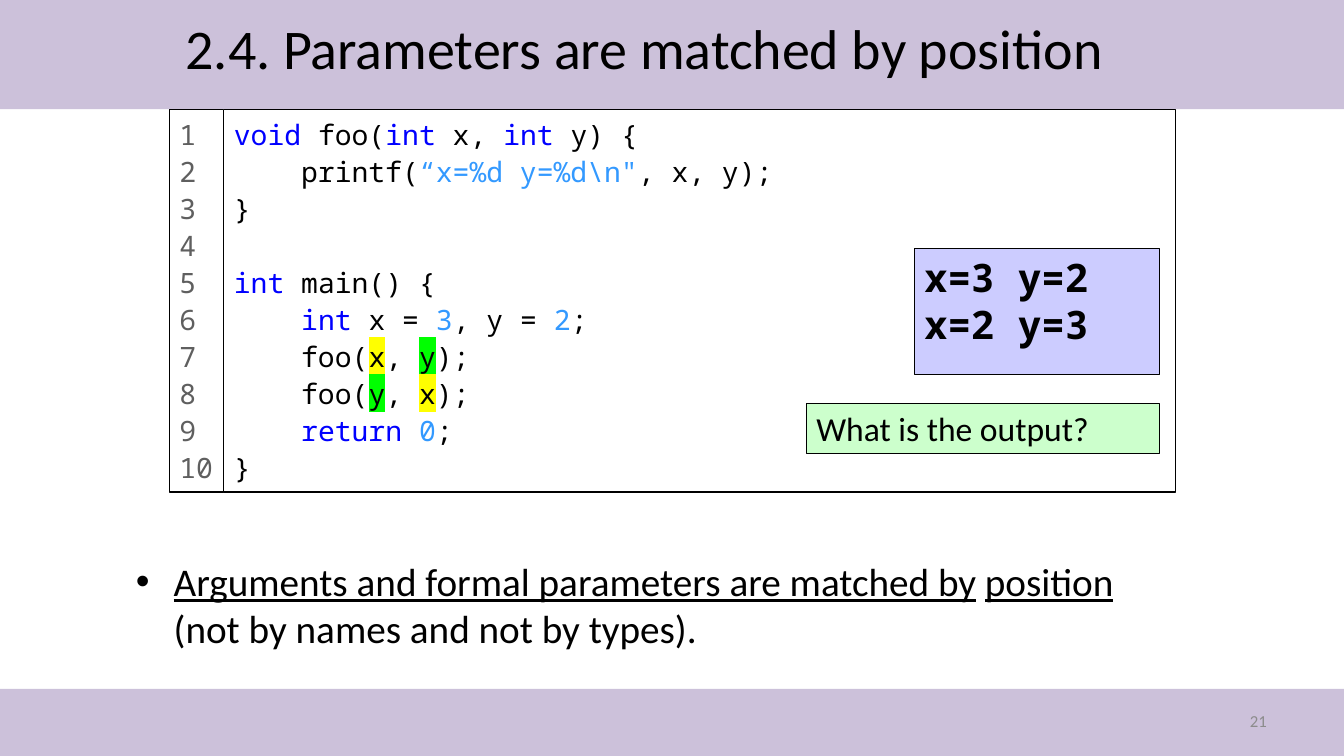
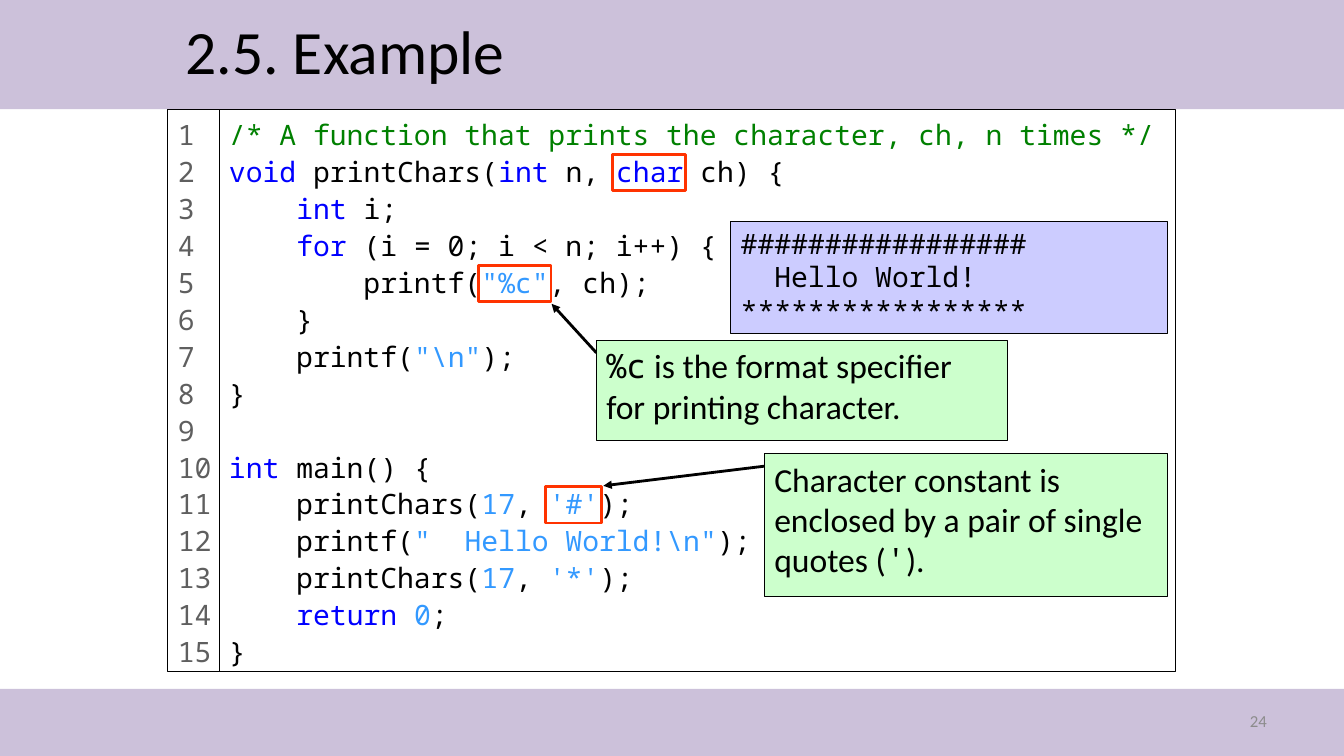
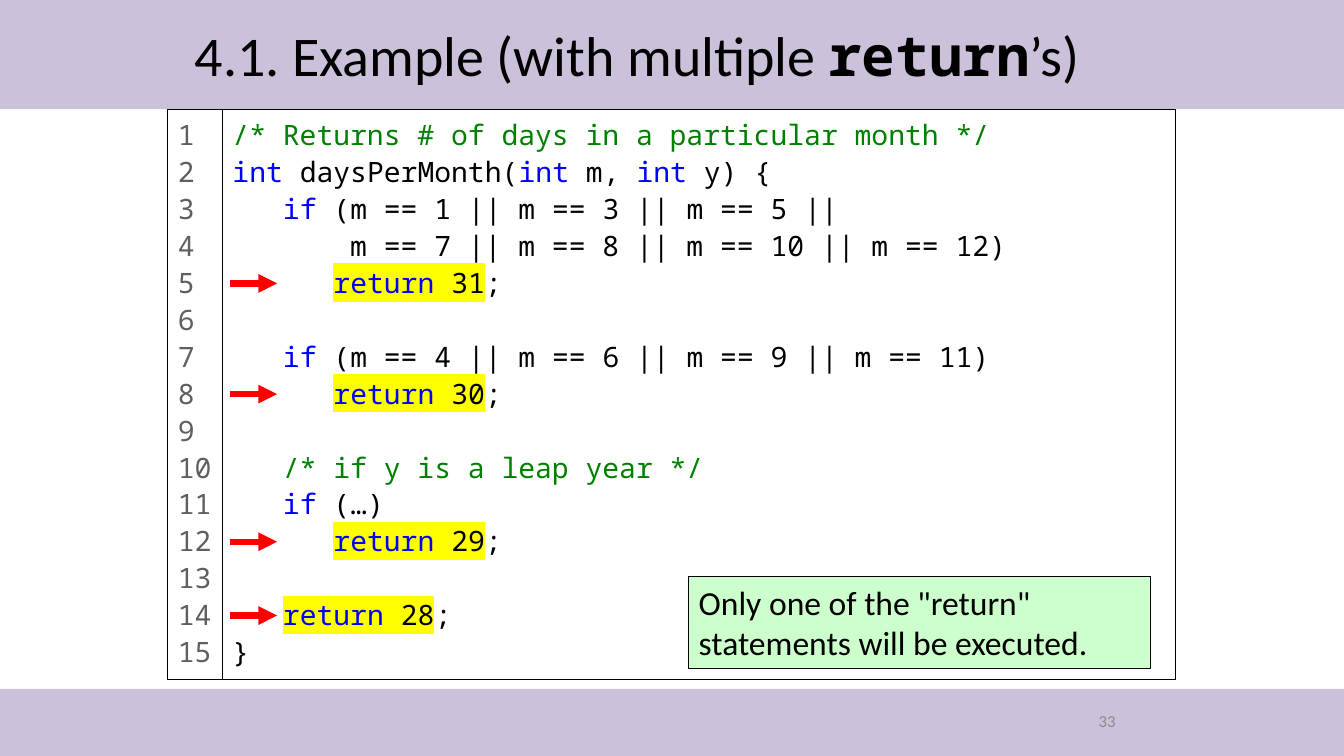
import dataclasses
import functools
import typing

import pptx
import pptx.dml.color
import pptx.enum.shapes
import pptx.enum.text
import pptx.oxml
import pptx.oxml.ns
import pptx.util
from lxml import etree

Pt = pptx.util.Pt
qn = pptx.oxml.ns.qn
ANCHOR = pptx.enum.text.MSO_ANCHOR
ALIGN = pptx.enum.text.PP_ALIGN


@dataclasses.dataclass(frozen=True)
class Theme:
    sans: str = "Calibri"
    mono: str = "Noto Sans Mono"
    ink: str = "000000"
    paper: str = "FFFFFF"
    band: str = "CCC1DA"
    page_number: str = "8C8C8C"
    line_number: str = "5F5F5F"
    keyword: str = "0000FF"
    literal: str = "3399FF"
    comment: str = "008000"
    yellow: str = "FFFF00"
    green: str = "00FF00"
    note: str = "CCFFCC"
    output: str = "CCCCFF"
    frame: str = "FF3300"
    pointer: str = "FF0000"
    title_size: float = 40
    big_title_size: float = 44
    body_size: float = 28
    note_size: float = 24
    code_size: float = 20
    page_size: float = 12
    code_spacing: float = 1.1
    hairline: float = 0.75


T = Theme()
WIDTH, HEIGHT = 960, 540
CODE_TOP, CODE_RIGHT = 78, 840
INSET_X, INSET_Y = 7.2, 3.6
CHAR_WIDTH, LINE_PITCH = 12, 26.36


@dataclasses.dataclass(frozen=True)
class Run:
    text: str
    color: typing.Optional[str] = None
    mark: typing.Optional[str] = None
    font: typing.Optional[str] = None
    bold: bool = False
    underline: bool = False


kw = functools.partial(Run, color=T.keyword)
lit = functools.partial(Run, color=T.literal)
com = functools.partial(Run, color=T.comment)
mono = functools.partial(Run, font=T.mono)
under = functools.partial(Run, underline=True)
first = functools.partial(Run, mark=T.yellow)
second = functools.partial(Run, mark=T.green)


def rgb(value):
    return pptx.dml.color.RGBColor.from_string(value)


def add_run(p, run, size, font, color, bold):
    r = p.add_run()
    r.text = run.text
    r.font.size = Pt(size)
    r.font.bold = bold or run.bold
    r.font.underline = run.underline
    r.font.color.rgb = rgb(run.color or color)
    r.font.name = run.font or font
    if run.mark:
        highlight = etree.Element(qn("a:highlight"))
        etree.SubElement(highlight, qn("a:srgbClr"), val=run.mark)
        r.font._element.find(qn("a:solidFill")).addnext(highlight)


def write(tf, lines, size, font=T.sans, color=T.ink, bold=False,
          align=ALIGN.LEFT, spacing=None):
    """Fill a frame; a line is a string or a list of strings and Runs."""
    for i, line in enumerate(lines):
        p = tf.paragraphs[0] if i == 0 else tf.add_paragraph()
        p.alignment = align
        if spacing:
            p.line_spacing = spacing
        runs = [line] if isinstance(line, str) else line
        for run in runs:
            if run:
                run = Run(run) if isinstance(run, str) else run
                add_run(p, run, size, font, color, bold)
        if not line:
            end = etree.SubElement(p._p, qn("a:endParaRPr"), sz=str(size * 100))
            etree.SubElement(end, qn("a:latin"), typeface=font)


def set_frame(tf, anchor=ANCHOR.TOP, right=INSET_X):
    tf.word_wrap = True
    tf.vertical_anchor = anchor
    tf.margin_left, tf.margin_right = Pt(INSET_X), Pt(right)
    tf.margin_top = tf.margin_bottom = Pt(INSET_Y)
    return tf


def add_rect(s, x, y, w, h, fill=None, line=None, weight=T.hairline):
    sp = s.shapes.add_shape(pptx.enum.shapes.MSO_SHAPE.RECTANGLE,
                            Pt(x), Pt(y), Pt(w), Pt(h))
    sp.shadow.inherit = False
    if fill:
        sp.fill.solid()
        sp.fill.fore_color.rgb = rgb(fill)
    else:
        sp.fill.background()
    if line:
        sp.line.color.rgb = rgb(line)
        sp.line.width = Pt(weight)
    else:
        sp.line.fill.background()
    return sp


def add_panel(s, x, y, w, h, fill, lines, size, right=INSET_X, **style):
    sp = add_rect(s, x, y, w, h, fill, T.ink)
    write(set_frame(sp.text_frame, right=right), lines, size, **style)


def add_text(s, x, y, w, h, lines, size, anchor=ANCHOR.TOP, **style):
    sp = s.shapes.add_textbox(Pt(x), Pt(y), Pt(w), Pt(h))
    write(set_frame(sp.text_frame, anchor), lines, size, **style)
    return sp


def add_note(s, x, y, w, h, line):
    add_panel(s, x, y, w, h, T.note, [line], T.note_size)


def line_middle(number):
    """Height of the middle of a numbered code line."""
    return CODE_TOP + 19 + LINE_PITCH * (number - 1)


def add_code_frame(s, code_x, number, column, length):
    """Frame some characters of a code line; columns count from 0."""
    x = code_x + INSET_X + CHAR_WIDTH * column
    add_rect(s, x - 2, line_middle(number) - 13, CHAR_WIDTH * length + 4, 26,
             line=T.frame, weight=2)


def add_arrow(s, x1, y1, x2, y2, color=T.ink, weight=2):
    c = s.shapes.add_connector(pptx.enum.shapes.MSO_CONNECTOR.STRAIGHT,
                               Pt(x1), Pt(y1), Pt(x2), Pt(y2))
    c.line.color.rgb = rgb(color)
    c.line.width = Pt(weight)
    etree.SubElement(c.line._get_or_add_ln(), qn("a:tailEnd"), type="triangle")
    etree.SubElement(c._element.spPr, qn("a:effectLst"))


def add_bullet(s, x, y, w, h, line):
    sp = add_text(s, x, y, w, h, [line], T.body_size)
    pPr = sp.text_frame.paragraphs[0]._p.get_or_add_pPr()
    pPr.set("marL", str(Pt(27)))
    pPr.set("indent", str(Pt(-27)))
    etree.SubElement(pPr, qn("a:buFont"), typeface="Arial")
    etree.SubElement(pPr, qn("a:buChar"), char="•")


def add_listing(s, x, gutter, h, lines):
    """Draw numbered code beside its gutter; return the code's left edge."""
    style = dict(size=T.code_size, font=T.mono, spacing=T.code_spacing)
    code_x = x + gutter
    add_panel(s, code_x, CODE_TOP, CODE_RIGHT - code_x, h, T.paper, lines, **style)
    numbers = [str(n) for n in range(1, len(lines) + 1)]
    add_panel(s, x, CODE_TOP, gutter, h, T.paper, numbers, right=0,
              color=T.line_number, **style)
    return code_x


def new_slide(prs, number, number_right=912):
    s = prs.slides.add_slide(prs.slide_layouts[6])
    add_rect(s, 0, 0, WIDTH, CODE_TOP, T.band)
    add_rect(s, 0, 492, WIDTH, HEIGHT - 492, T.band)
    add_text(s, number_right - 168, 500.5, 168, 28.75, [str(number)], T.page_size,
             ANCHOR.MIDDLE, color=T.page_number, align=ALIGN.RIGHT)
    return s


def add_title(s, line, size=T.title_size, x=125.5, anchor=ANCHOR.TOP):
    add_text(s, x, 6, 708, 66, [line], size, anchor)


def parameters_slide(prs):
    s = new_slide(prs, 21)
    add_listing(s, 121, 39, 273.5, [
        [kw("void"), " foo(", kw("int"), " x, ", kw("int"), " y) {"],
        ["    printf(", lit("“x=%d y=%d\\n\""), ", x, y);"],
        "}",
        "",
        [kw("int"), " main() {"],
        ["    ", kw("int"), " x = ", lit("3"), ", y = ", lit("2"), ";"],
        ["    foo(", first("x"), ", ", second("y"), ");"],
        ["    foo(", second("y"), ", ", first("x"), ");"],
        ["    ", kw("return "), lit("0"), ";"],
        "}",
    ])
    add_bullet(s, 90, 394.5, 762, 90, [
        under("Arguments and formal parameters are matched by"), " ",
        under("position"), " (not by names and not by types)."])
    add_title(s, "2.4. Parameters are matched by position")
    add_note(s, 576, 288, 252, 36, "What is the output?")
    add_panel(s, 653, 177.5, 175, 90, T.output, ["x=3 y=2", "x=2 y=3"],
              T.body_size, font=T.mono, bold=True)


def characters_slide(prs):
    s = new_slide(prs, 24)
    code_x = add_listing(s, 120, 36.5, 402, [
        [com("/* A function that prints the character, ch, n times */")],
        [kw("void "), "printChars(", kw("int"), " n, ", kw("char "), "ch) {"],
        ["    ", kw("int "), "i;"],
        ["    ", kw("for"), " (i = 0; i < n; i++) {"],
        ["        printf(", lit("\"%c\""), ", ch);"],
        "    }",
        ["    printf(", lit("\"\\n\""), ");"],
        "}",
        "",
        [kw("int"), " main() {"],
        ["    printChars(", lit("17"), ", ", lit("'#'"), ");"],
        ["    printf(", lit("\"  Hello World!\\n\""), ");"],
        ["    printChars(", lit("17"), ", ", lit("'*'"), ");"],
        ["    ", kw("return "), lit("0"), ";"],
        "}",
    ])
    add_title(s, "2.5. Example", T.big_title_size)
    for number, column, length in [(2, 23, 4), (5, 15, 4), (11, 19, 3)]:
        add_code_frame(s, code_x, number, column, length)
    add_arrow(s, 546, 333, 431, 347)
    add_arrow(s, 426, 252, 394, 217)
    add_note(s, 546, 324, 288, 102, [
        "Character constant is enclosed by a pair of single quotes (",
        mono("'"), ")."])
    add_panel(s, 522, 158, 312, 80, T.output,
              ["#" * 17, "  Hello World!", "*" * 17], T.code_size, font=T.mono)
    add_note(s, 426, 243, 294, 72, [
        mono("%c"), " is the format specifier for printing character."])


def marked_return(indent, days):
    return [" " * indent, kw("return", mark=T.yellow), first(f" {days}"), ";"]


def returns_slide(prs):
    s = new_slide(prs, 33, number_right=804)
    add_title(s, ["4.1. Example (with multiple ", mono("return", bold=True), "’s)"],
              x=132, anchor=ANCHOR.MIDDLE)
    code_x = add_listing(s, 120, 39, 407.5, [
        [com("/* Returns # of days in a particular month */")],
        [kw("int "), "daysPerMonth(", kw("int"), " m, ", kw("int"), " y) {"],
        ["   ", kw("if"), " (m == 1 || m == 3 || m == 5 ||"],
        "       m == 7 || m == 8 || m == 10 || m == 12)",
        marked_return(6, 31),
        "",
        ["   ", kw("if"), " (m == 4 || m == 6 || m == 9 || m == 11)"],
        marked_return(6, 30),
        "",
        [com("   /* if y is a leap year */")],
        ["   ", kw("if"), " (…)"],
        marked_return(6, 29),
        "",
        marked_return(3, 28),
        "}",
    ])
    add_note(s, 492, 412, 330, 65.5,
             "Only one of the \"return\" statements will be executed.")
    for number in (5, 8, 12, 14):
        y = line_middle(number)
        add_arrow(s, code_x + 5, y, code_x + 39, y, T.pointer, 4.5)


def main():
    prs = pptx.Presentation()
    prs.slide_width, prs.slide_height = Pt(WIDTH), Pt(HEIGHT)
    parameters_slide(prs)
    characters_slide(prs)
    returns_slide(prs)
    prs.save("out.pptx")


if __name__ == "__main__":
    main()
